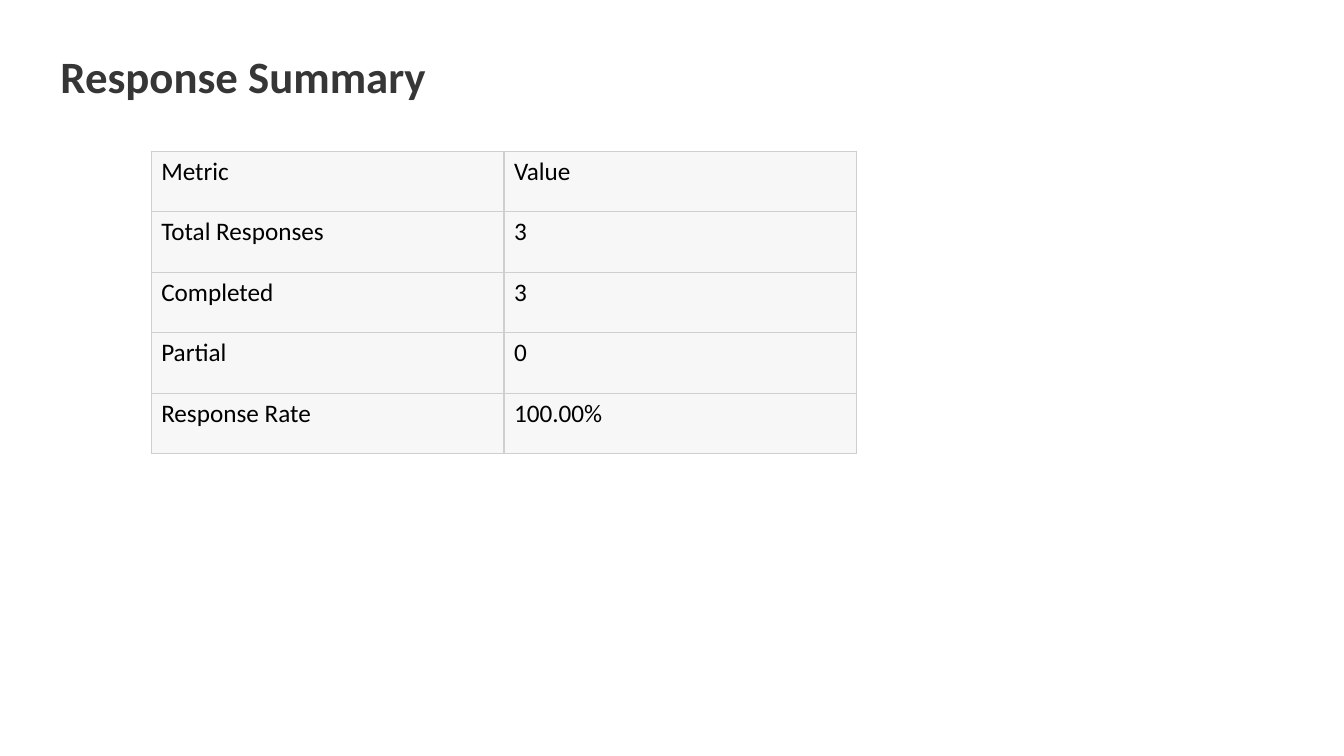
from dataclasses import dataclass

from lxml import etree
from pptx import Presentation
from pptx.dml.color import RGBColor
from pptx.enum.text import MSO_ANCHOR, MSO_AUTO_SIZE, PP_ALIGN
from pptx.oxml.ns import qn
from pptx.util import Cm, Pt

LEFT = PP_ALIGN.LEFT
MIDDLE = MSO_ANCHOR.MIDDLE
NO_AUTOFIT = MSO_AUTO_SIZE.NONE
TITLE_ONLY_LAYOUT = 5
BORDER_TAGS = ("a:lnL", "a:lnR", "a:lnT", "a:lnB")


@dataclass(frozen=True)
class Theme:
    font: str = "Calibri"
    title_color: str = "363636"
    text_color: str = "000000"
    cell_fill: str = "F7F7F7"
    border_color: str = "CFCFCF"
    title_size: int = 32
    text_size: int = 18
    border_width: int = 1


THEME = Theme()

RESPONSE_ROWS = (
    ("Metric", "Value"),
    ("Total Responses", "3"),
    ("Completed", "3"),
    ("Partial", "0"),
    ("Response Rate", "100.00%"),
)


def format_paragraph(paragraph, size, color, bold=False):
    paragraph.alignment = LEFT
    paragraph.font.name = THEME.font
    paragraph.font.size = Pt(size)
    paragraph.font.bold = bold
    paragraph.font.color.rgb = RGBColor.from_string(color)


def set_title(slide, text):
    title = slide.shapes.title
    title.left, title.top = Cm(1.27), Cm(1.27)
    title.width, title.height = Cm(22.86), Cm(1.27)
    frame = title.text_frame
    frame.text = text
    frame.word_wrap = True
    frame.auto_size = NO_AUTOFIT
    frame.vertical_anchor = MIDDLE
    format_paragraph(frame.paragraphs[0], THEME.title_size, THEME.title_color, bold=True)


def add_borders(cell):
    properties = cell._tc.get_or_add_tcPr()
    for tag in BORDER_TAGS:
        line = etree.SubElement(properties, qn(tag), w=str(Pt(THEME.border_width)))
        fill = etree.SubElement(line, qn("a:solidFill"))
        etree.SubElement(fill, qn("a:srgbClr"), val=THEME.border_color)


def format_cell(cell, text):
    cell.text = text
    add_borders(cell)
    cell.fill.solid()
    cell.fill.fore_color.rgb = RGBColor.from_string(THEME.cell_fill)
    format_paragraph(cell.text_frame.paragraphs[0], THEME.text_size, THEME.text_color)


def add_response_table(slide, rows):
    frame = slide.shapes.add_table(
        len(rows), len(rows[0]), Cm(3.81), Cm(3.81), Cm(17.78), Cm(7.62)
    )
    table = frame.table
    table.first_row = False
    table.horz_banding = False
    for row_index, row in enumerate(rows):
        for column_index, text in enumerate(row):
            format_cell(table.cell(row_index, column_index), text)


def main():
    presentation = Presentation()
    presentation.slide_width = Cm(33.87)
    presentation.slide_height = Cm(19.05)
    slide = presentation.slides.add_slide(presentation.slide_layouts[TITLE_ONLY_LAYOUT])
    set_title(slide, "Response Summary")
    add_response_table(slide, RESPONSE_ROWS)
    presentation.save("out.pptx")


if __name__ == "__main__":
    main()
